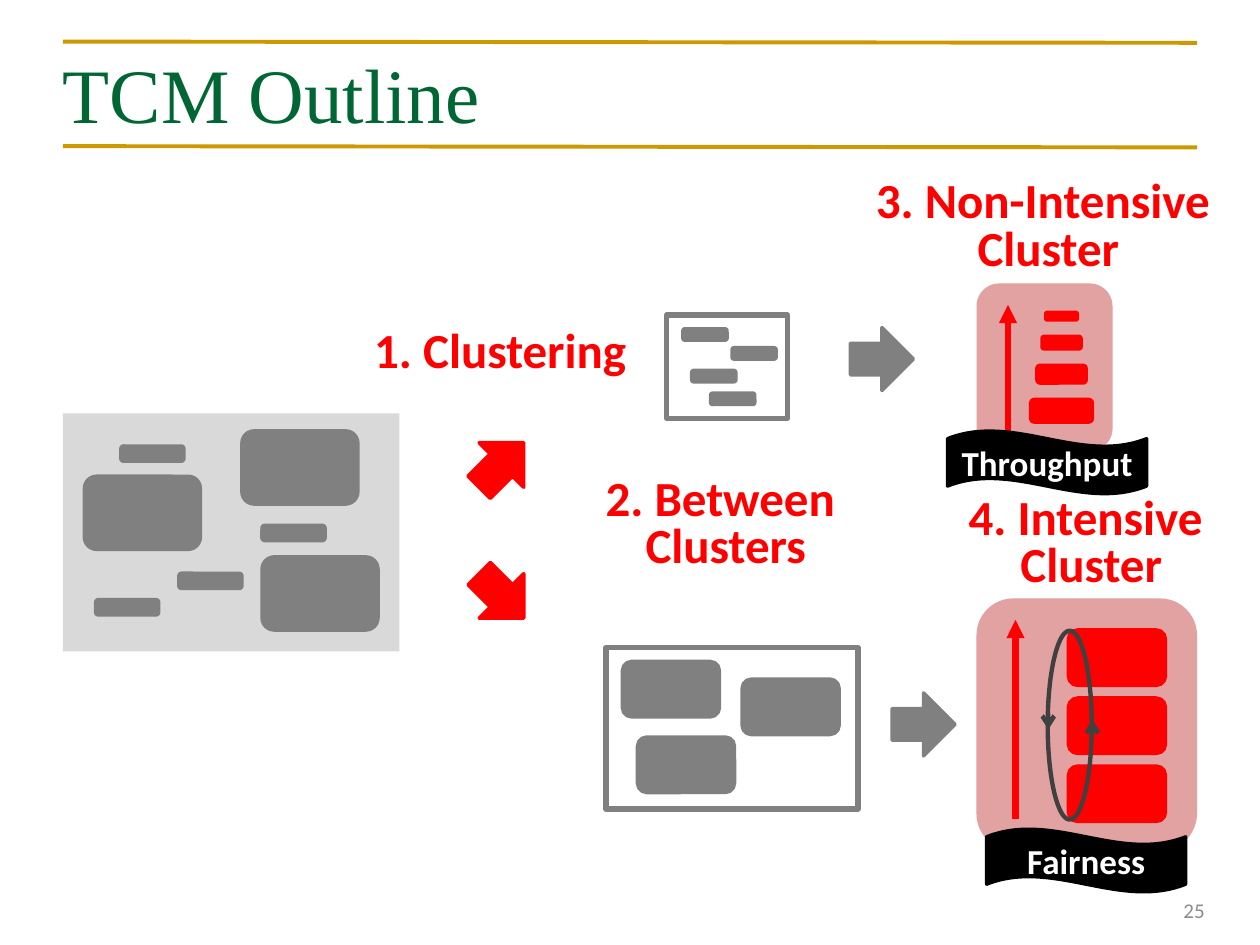
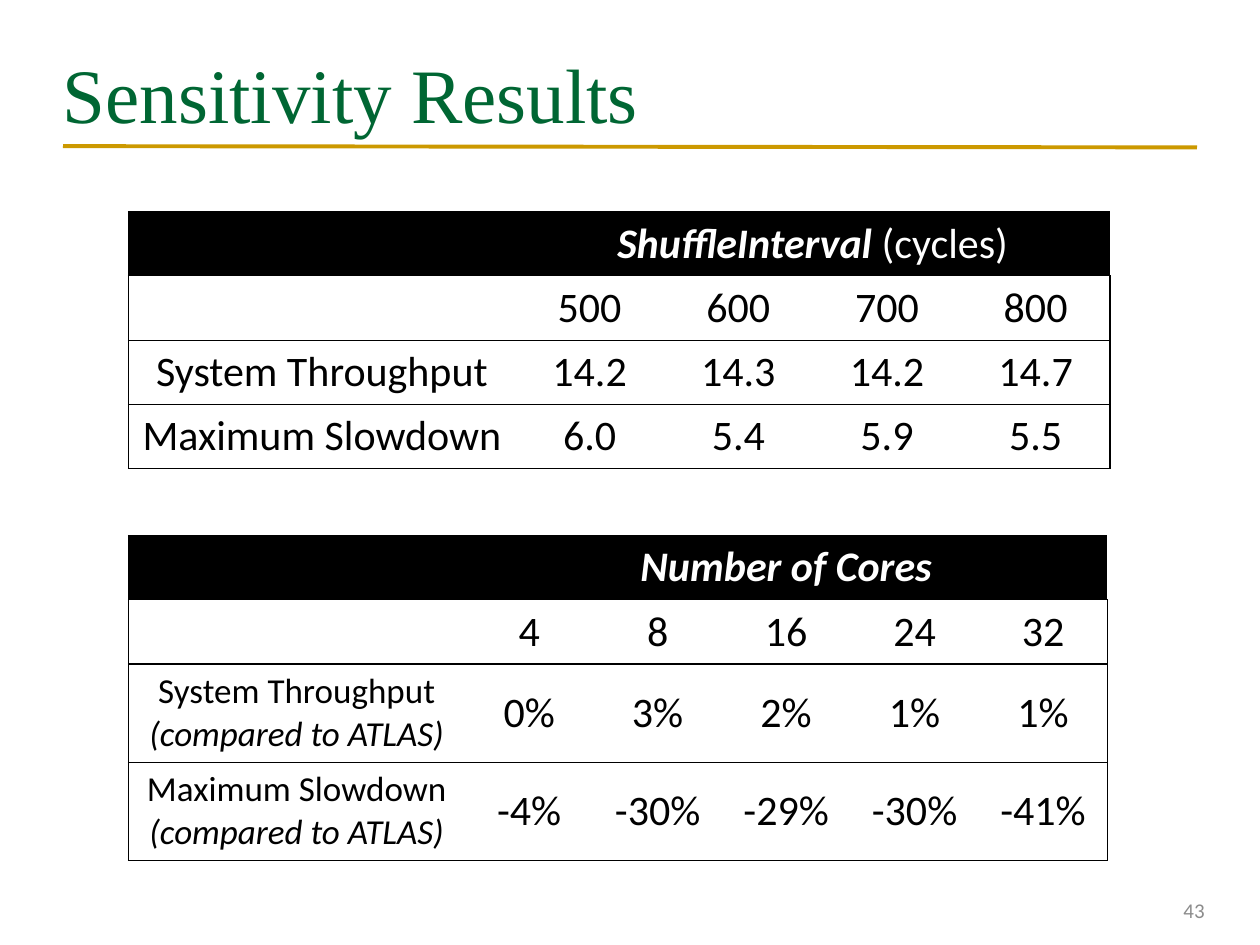
from lxml import etree
from pptx import Presentation
from pptx import util as u
from pptx.dml.color import RGBColor
from pptx.enum import shapes, text
from pptx.oxml.ns import qn

Inches, Pt = u.Inches, u.Pt
KIND = shapes.MSO_SHAPE
ALIGN = text.PP_ALIGN


class Theme:
    serif, sans = "Times New Roman", "Calibri"
    green, gold = "006633", "CC9900"
    red, gray, pale, dark = "FF0000", "808080", "D9D9D9", "404040"
    black, white, number = "000000", "FFFFFF", "8C8C8C"
    title, label, cell, small, foot = 44, 28, 24, 20, 12


def write(tf, *paragraphs, size=Theme.cell, color=Theme.black, font=Theme.sans, bold=False,
          italic=False, align=ALIGN.CENTER, spacing=None, wrap=True):
    """Each paragraph is a string or a list of (text, bold, italic) runs; "\\n" breaks the line."""
    tf.word_wrap = wrap
    for i, runs in enumerate(paragraphs):
        p = tf.add_paragraph() if i else tf.paragraphs[0]
        p.alignment, p.line_spacing = align, spacing
        for words, b, it in [(runs, bold, italic)] if isinstance(runs, str) else runs:
            if words == "\n":
                p.add_line_break()
                continue
            r = p.add_run()
            r.text = words
            r.font.name, r.font.size = font, Pt(size)
            r.font.bold, r.font.italic = b, it
            r.font.color.rgb = RGBColor.from_string(color)


def draw(parent, kind, box, fill=None, line=None, width=2, rotation=0, alpha=None):
    sp = parent.shapes.add_shape(kind, *map(Inches, box))
    sp.shadow.inherit = False
    sp.rotation = rotation
    if fill:
        sp.fill.solid()
        sp.fill.fore_color.rgb = RGBColor.from_string(fill)
    else:
        sp.fill.background()
    if alpha:
        clr = sp._element.spPr.find(".//" + qn("a:srgbClr"))
        etree.SubElement(clr, qn("a:alpha"), val=str(alpha * 1000))
    if line:
        sp.line.color.rgb = RGBColor.from_string(line)
        sp.line.width = Pt(width)
    else:
        sp.line.fill.background()
    return sp


prs = Presentation()
prs.slide_width, prs.slide_height = Inches(10), Inches(7.5)

# Shared frame: title and slide number
slides = []
for title, number in (("TCM Outline", "25"), ("Sensitivity Results", "43")):
    s = prs.slides.add_slide(prs.slide_layouts[6])
    slides.append(s)
    tf = s.shapes.add_textbox(*map(Inches, (0.5, 0.3, 9, 0.87))).text_frame
    tf.margin_left = tf.margin_right = 0
    tf.vertical_anchor = text.MSO_ANCHOR.MIDDLE
    write(tf, title, size=Theme.title, color=Theme.green, font=Theme.serif, align=ALIGN.LEFT)
    tf = s.shapes.add_textbox(*map(Inches, (7.33, 7.02, 2.33, 0.4))).text_frame
    tf.vertical_anchor = text.MSO_ANCHOR.MIDDLE
    write(tf, number, size=Theme.foot, color=Theme.number, align=ALIGN.RIGHT)
outline, results = slides

# Outline: all threads, before clustering
draw(outline, KIND.RECTANGLE, (0.5, 3.28, 2.67, 1.89), Theme.pale)
for size, places in (((0.5, 0.12), ((1.42, 4.55), (0.96, 3.54), (2.08, 4.17), (0.76, 4.76))),
                     ((0.92, 0.58), ((2.08, 4.42), (0.67, 3.78), (1.92, 3.42)))):
    for place in places:
        draw(outline, KIND.ROUNDED_RECTANGLE, place + size, Theme.gray, Theme.gray)

# Outline: the two clusters, each a framed group of threads
for frame, size, places in (
        ((5.29, 2.5, 0.96, 0.82), (0.35, 0.09),
         ((5.42, 2.61), (5.49, 2.94), (5.81, 2.76), (5.64, 3.12))),
        ((4.81, 5.14, 2, 1.28), (0.77, 0.44), ((4.94, 5.25), (5.89, 5.39), (5.06, 5.85)))):
    group = outline.shapes.add_group_shape()
    draw(group, KIND.RECTANGLE, frame, None, Theme.gray, 3)
    for place in places:
        draw(group, KIND.ROUNDED_RECTANGLE, place + size, Theme.gray, Theme.gray)

# Outline: block arrows between the stages
for x, y, rotation, color in ((3.73, 3.44, 315, Theme.red), (3.73, 4.48, 45, Theme.red),
                              (6.75, 2.6, 0, Theme.gray), (7.08, 5.5, 0, Theme.gray)):
    draw(outline, KIND.RIGHT_ARROW, (x, y, 0.5, 0.5), color, color, rotation=rotation)

# Outline: ranked threads on panels tinted red over gray
for panel in ((7.75, 2.25, 1.08, 1.33), (7.75, 4.75, 1.75, 2)):
    draw(outline, KIND.ROUNDED_RECTANGLE, panel, Theme.pale)
    draw(outline, KIND.ROUNDED_RECTANGLE, panel, Theme.red, alpha=25)
ranked = [(8.3, 2.48, 0.25, 0.06), (8.27, 2.67, 0.31, 0.1),
          (8.23, 2.9, 0.39, 0.14), (8.18, 3.17, 0.49, 0.18)]
ranked += [(8.48, 5 + 0.54 * i, 0.77, 0.44) for i in range(3)]
for box in ranked:
    draw(outline, KIND.ROUNDED_RECTANGLE, box, Theme.red, Theme.red)
draw(outline, KIND.OVAL, (7.74, 5.58, 1.5, 0.35), None, Theme.dark, 2.5, rotation=270)

# Title rules, priority arrows and shuffle arrowheads
for s, x1, y1, x2, y2, color, width, end, head in (
        (outline, 0.5, 0.33, 9.5, 0.34, Theme.gold, 2.25, None, None),
        (outline, 0.5, 1.16, 9.5, 1.17, Theme.gold, 2.25, None, None),
        (results, 0.5, 1.16, 9.5, 1.17, Theme.gold, 2.25, None, None),
        (outline, 8, 3.42, 8, 2.42, Theme.red, 3.5, "a:tailEnd", "triangle"),
        (outline, 8.06, 6.5, 8.06, 4.92, Theme.red, 3.5, "a:tailEnd", "triangle"),
        (outline, 8.67, 5.71, 8.67, 5.79, Theme.dark, 2.5, "a:headEnd", "arrow"),
        (outline, 8.32, 5.71, 8.32, 5.79, Theme.dark, 2.5, "a:tailEnd", "arrow")):
    line = s.shapes.add_connector(shapes.MSO_CONNECTOR.STRAIGHT, *map(Inches, (x1, y1, x2, y2)))
    line.line.color.rgb = RGBColor.from_string(color)
    line.line.width = Pt(width)
    if end:
        etree.SubElement(line.line._get_or_add_ln(), qn(end), type=head)
    etree.SubElement(line._element.spPr, qn("a:effectLst"))

# Outline: step labels and goal banners
for box, lines in (((2.85, 2.58, 2.24, 0.49), ["1. Clustering"]),
                   ((4.69, 3.75, 2.14, 0.86), ["2. Between ", "Clusters"]),
                   ((6.83, 1.39, 2.98, 0.86), ["3. Non-Intensive ", "Cluster"]),
                   ((7.57, 3.9, 2.18, 0.86), ["4. Intensive ", "Cluster"])):
    tf = outline.shapes.add_textbox(*map(Inches, box)).text_frame
    write(tf, *lines, size=Theme.label, color=Theme.red, bold=True, spacing=0.8, wrap=False)
for x, y, goal in ((7.83, 6.58, "Fairness"), (7.52, 3.42, "Throughput")):
    sp = draw(outline, KIND.WAVE, (x, y, 1.58, 0.5), Theme.black, Theme.black)
    sp.text_frame.vertical_anchor = text.MSO_ANCHOR.MIDDLE
    write(sp.text_frame, goal, size=Theme.small, color=Theme.white, bold=True)

# Results: both tables, first column wide and the rest equal
compared = [("\n", False, False), ("(compared to ATLAS)", False, True)]
tables = (
    (1.68, 3.07, 1.18, (0.51, 0.51, 0.51, 0.51), Theme.cell,
     [("ShuffleInterval ", True, True), ("(cycles)", False, False)],
     (("", "500", "600", "700", "800"),
      ("System Throughput", "14.2", "14.3", "14.2", "14.7"),
      ("Maximum Slowdown", "6.0", "5.4", "5.9", "5.5"))),
    (4.25, 2.67, 1.02, (0.51, 0.51, 0.78, 0.78), Theme.small,
     [("Number of Cores", True, True)],
     (("", "4", "8", "16", "24", "32"),
      ([("System Throughput", False, False)] + compared, "0%", "3%", "2%", "1%", "1%"),
      ([("Maximum Slowdown", False, False)] + compared, "-4%", "-30%", "-29%", "-30%", "-41%"))))
for top, first, other, heights, name_size, heading, body in tables:
    n = len(body[0])
    rows = [("", heading) + ("",) * (n - 2), *body]
    widths = [first] + [other] * (n - 1)
    tbl = results.shapes.add_table(len(rows), n, Inches(1.02), Inches(top),
                                   Inches(sum(widths)), Inches(sum(heights))).table
    tbl.first_row = tbl.horz_banding = False
    for column, width in zip(tbl.columns, widths):
        column.width = Inches(width)
    for i, (row, height) in enumerate(zip(rows, heights)):
        tbl.rows[i].height = Inches(height)
        for j, words in enumerate(row):
            cell = tbl.cell(i, j)
            cell.vertical_anchor = text.MSO_ANCHOR.MIDDLE
            # Lines above and below every row, at the sides only on the outer edge
            for side, shown in (("L", j == 0), ("R", j == n - 1), ("T", True), ("B", True)):
                ln = etree.SubElement(cell._tc.get_or_add_tcPr(), qn("a:ln" + side), w=str(Pt(0.75)))
                paint = etree.SubElement(ln, qn("a:solidFill" if shown else "a:noFill"))
                if shown:
                    etree.SubElement(paint, qn("a:srgbClr"), val=Theme.black)
            cell.fill.solid()
            cell.fill.fore_color.rgb = RGBColor.from_string(Theme.white if i else Theme.black)
            if words:
                write(cell.text_frame, words, color=Theme.black if i else Theme.white,
                      size=Theme.cell if j or not i else name_size)
    tbl.cell(0, 1).merge(tbl.cell(0, n - 1))

prs.save("out.pptx")
